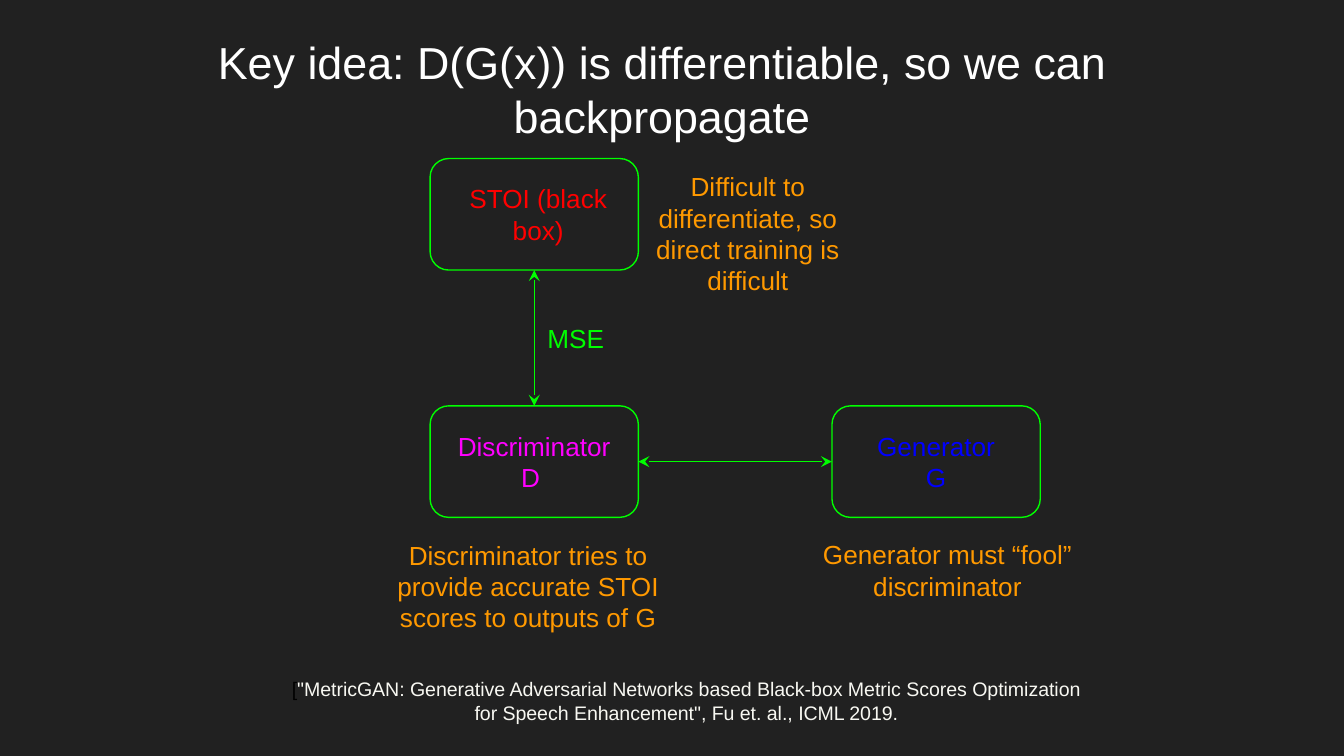
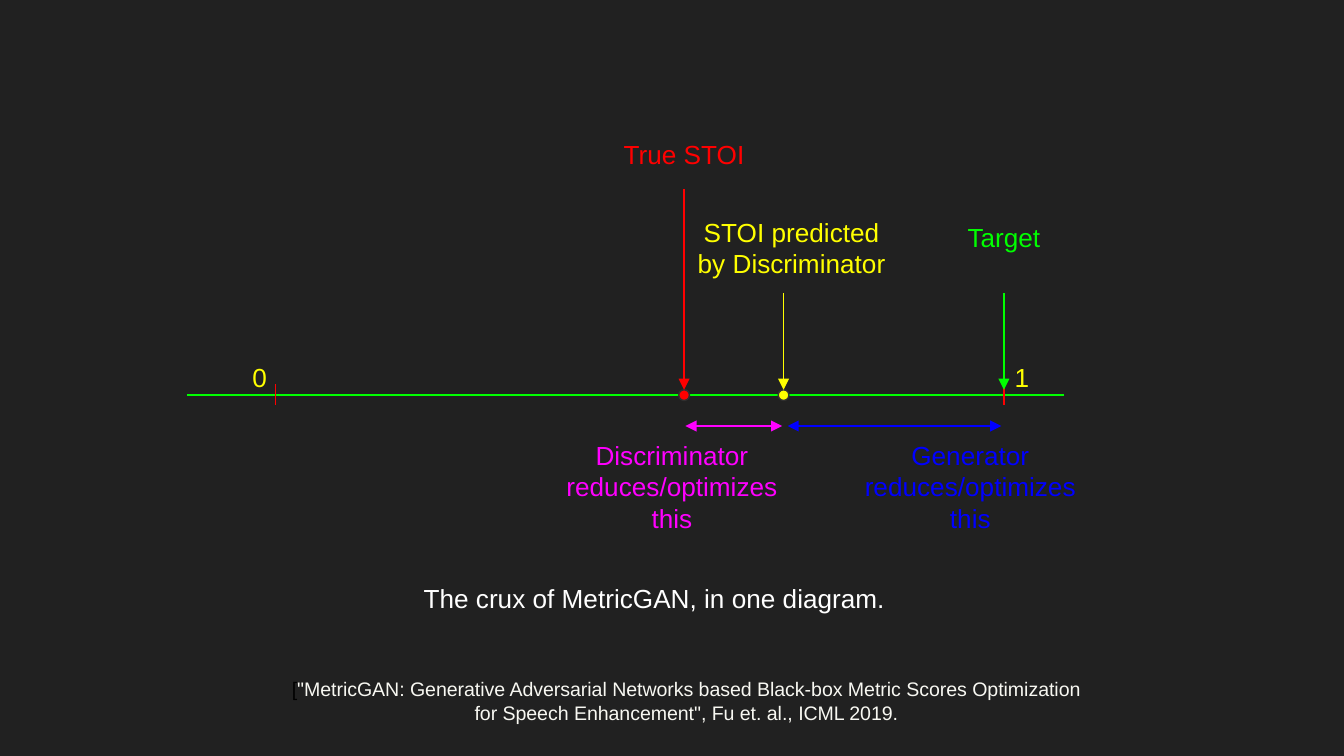
import pptx
import pptx.util
import pptx.dml.color
import pptx.enum.shapes
import pptx.enum.text
import pptx.oxml
import pptx.oxml.ns
from pptx.util import Inches

BACKGROUND = "212121"
GREEN = "00FF00"
RED = "FF0000"
MAGENTA = "FF00FF"
BLUE = "0000FF"
YELLOW = "FFFF00"
ORANGE = "FF9900"
WHITE = "FFFFFF"
FONT = "Arial"
SHAPES = pptx.enum.shapes.MSO_SHAPE
ALIGN = pptx.enum.text.PP_ALIGN
CITATION = (
    '"MetricGAN: Generative Adversarial Networks based Black-box Metric Scores '
    'Optimization for Speech Enhancement", Fu et. al., ICML 2019.'
)


def paint(color_format, color):
    color_format.rgb = pptx.dml.color.RGBColor.from_string(color)


def style_run(run, color, size):
    run.font.name = FONT
    run.font.size = pptx.util.Pt(size)
    paint(run.font.color, color)


def style_frame(frame, color, size, align):
    frame.word_wrap = True
    frame.vertical_anchor = pptx.enum.text.MSO_ANCHOR.TOP
    frame.margin_left = frame.margin_right = Inches(0.1)
    frame.margin_top = frame.margin_bottom = Inches(0.1)
    frame.auto_size = pptx.enum.text.MSO_AUTO_SIZE.SHAPE_TO_FIT_TEXT
    for paragraph in frame.paragraphs:
        paragraph.alignment = align
        for run in paragraph.runs:
            style_run(run, color, size)


def add_label(slide, box, text, color, size=14, align=ALIGN.CENTER):
    frame = slide.shapes.add_textbox(*map(Inches, box)).text_frame
    frame.text = text
    style_frame(frame, color, size, align)
    return frame


def add_line(slide, start, end, color, head=None, tail=None):
    line = slide.shapes.add_connector(
        pptx.enum.shapes.MSO_CONNECTOR.STRAIGHT, *map(Inches, start + end)
    )
    paint(line.line.color, color)
    line.line.width = pptx.util.Pt(0.75)
    properties = line._element.spPr
    outline = properties.find(pptx.oxml.ns.qn("a:ln"))
    namespace = pptx.oxml.ns.nsdecls("a")
    for tag, kind in (("headEnd", head), ("tailEnd", tail)):
        if kind:
            outline.append(
                pptx.oxml.parse_xml(f'<a:{tag} {namespace} type="{kind}"/>')
            )
    properties.append(pptx.oxml.parse_xml(f"<a:effectLst {namespace}/>"))


def add_outlined(slide, kind, box, line_color, fill_color=None):
    shape = slide.shapes.add_shape(kind, *map(Inches, box))
    shape.shadow.inherit = False
    if fill_color:
        shape.fill.solid()
        paint(shape.fill.fore_color, fill_color)
    else:
        shape.fill.background()
    paint(shape.line.color, line_color)
    shape.line.width = pptx.util.Pt(0.75)


def add_title(slide, box, text):
    title = slide.shapes.title
    title.left, title.top, title.width, title.height = map(Inches, box)
    title.text_frame.text = text
    style_frame(title.text_frame, WHITE, 24, ALIGN.CENTER)


def add_citation(slide):
    frame = add_label(slide, (2.04, 4.94, 6.14, 0.56), "[", "000000", 10.5)
    reference = frame.paragraphs[0].add_run()
    reference.text = CITATION
    style_run(reference, "F8F8F2", 10.5)


def add_node(slide, box, text, color, indent=0.09):
    left, top, width, height = box
    add_outlined(slide, SHAPES.ROUNDED_RECTANGLE, box, GREEN)
    add_label(slide, (left + indent, top + 0.08, 1.37, 0.67), text, color)


def add_network(slide, box):
    left, top, width, height = box
    node_width, node_height = 1.55, 0.83
    center = left + node_width / 2
    generator_left = left + width - node_width
    lower_top = top + height - node_height
    middle = lower_top + node_height / 2
    note_top = top + height + 0.06

    add_node(slide, (left, top, node_width, node_height), "STOI (black box)", RED, 0.12)
    add_node(slide, (left, lower_top, node_width, node_height), "Discriminator\nD ", MAGENTA)
    add_node(slide, (generator_left, lower_top, node_width, node_height), "Generator\nG", BLUE)
    add_line(slide, (center, lower_top), (center, top + node_height), GREEN, "stealth", "stealth")
    add_line(slide, (left + node_width, middle), (generator_left, middle), GREEN, "stealth", "stealth")

    add_label(slide, (center, top + 1.12, 0.7, 0.44), "MSE", GREEN, align=ALIGN.LEFT)
    add_label(
        slide, (left + 1.46, top - 0.01, 1.81, 1.14),
        "Difficult to differentiate, so direct training is difficult", ORANGE,
    )
    add_label(
        slide, (left - 0.4, note_top, 2.26, 0.91),
        "Discriminator tries to provide accurate STOI scores to outputs of G", ORANGE,
    )
    add_label(
        slide, (generator_left - 0.27, note_top, 2.26, 0.67),
        "Generator must “fool” discriminator", ORANGE,
    )


def add_score_axis(slide, box):
    left, top, width, height = box
    axis = top + 2.01
    zero, true_score, predicted, target = (left + x for x in (0.66, 3.7, 4.44, 6.08))
    dot = 0.08

    add_line(slide, (left, axis), (left + width, axis), GREEN)
    for value, tick, label_left in (("0", zero, zero - 0.27), ("1", target, target - 0.02)):
        add_line(slide, (tick, axis - 0.08), (tick, axis + 0.07), RED)
        add_label(slide, (label_left, axis - 0.35, 0.32, 0.44), value, YELLOW, align=ALIGN.LEFT)

    for score, color in ((predicted, YELLOW), (true_score, RED)):
        add_outlined(
            slide, SHAPES.OVAL, (score - dot / 2, axis - dot / 2, dot, dot), "303030", color
        )

    pointers = (
        ("True STOI", true_score, RED, 0.48, (true_score - 0.65, top, 1.3, 0.44)),
        ("STOI predicted by Discriminator", predicted, YELLOW, 1.25,
         (predicted - 0.78, top + 0.58, 1.68, 0.67)),
        ("Target", target, GREEN, 1.25, (target - 0.84, top + 0.62, 1.68, 0.44)),
    )
    for text, score, color, drop, label_box in pointers:
        add_line(slide, (score, top + drop), (score, axis - 0.04), color, tail="triangle")
        add_label(slide, label_box, text, color)

    span_top = axis + 0.23
    spans = (
        ("Discriminator", true_score + 0.01, predicted - 0.01, MAGENTA, left + 2.63),
        ("Generator", predicted + 0.03, target - 0.02, BLUE, left + 4.85),
    )
    for network, start, end, color, label_left in spans:
        add_line(slide, (start, span_top), (end, span_top), color, "triangle", "triangle")
        add_label(
            slide, (label_left, span_top, 1.96, 0.91), f"{network} reduces/optimizes this", color
        )


def build_key_idea(deck):
    slide = deck.slides.add_slide(deck.slide_layouts[5])
    add_citation(slide)
    add_network(slide, (3.2, 1.18, 4.54, 2.67))
    add_title(
        slide, (0.39, 0.16, 9.07, 1.01),
        "Key idea: D(G(x)) is differentiable, so we can backpropagate",
    )


def build_crux(deck):
    slide = deck.slides.add_slide(deck.slide_layouts[6])
    add_score_axis(slide, (1.39, 0.93, 6.53, 3.15))
    add_label(slide, (2.29, 4.23, 5.16, 0.44), "The crux of MetricGAN, in one diagram.", WHITE)
    add_citation(slide)


def main():
    deck = pptx.Presentation()
    deck.slide_width = Inches(10)
    deck.slide_height = deck.slide_width * 9 // 16
    fill = deck.slide_master.background.fill
    fill.solid()
    paint(fill.fore_color, BACKGROUND)
    build_key_idea(deck)
    build_crux(deck)
    deck.save("out.pptx")


if __name__ == "__main__":
    main()
